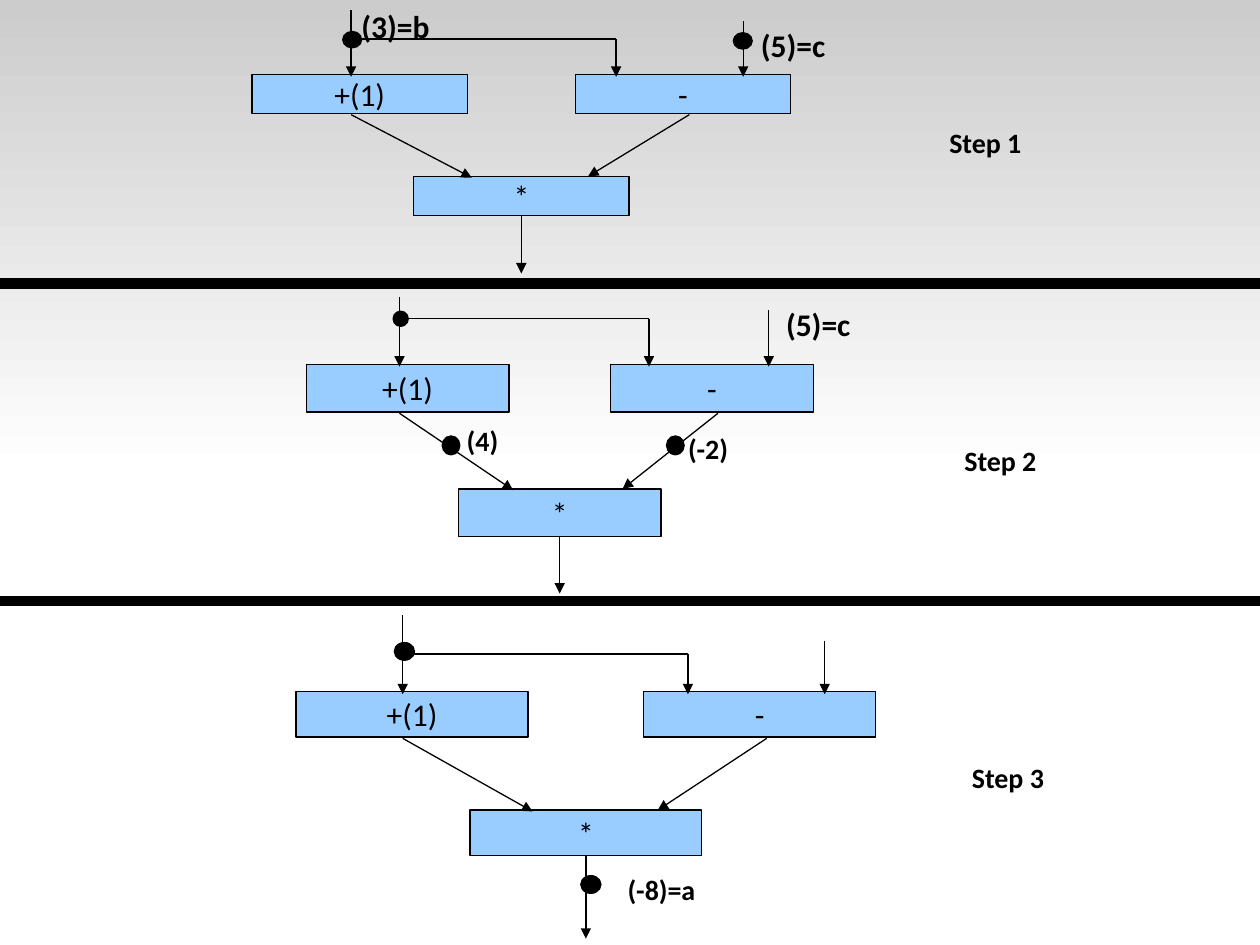
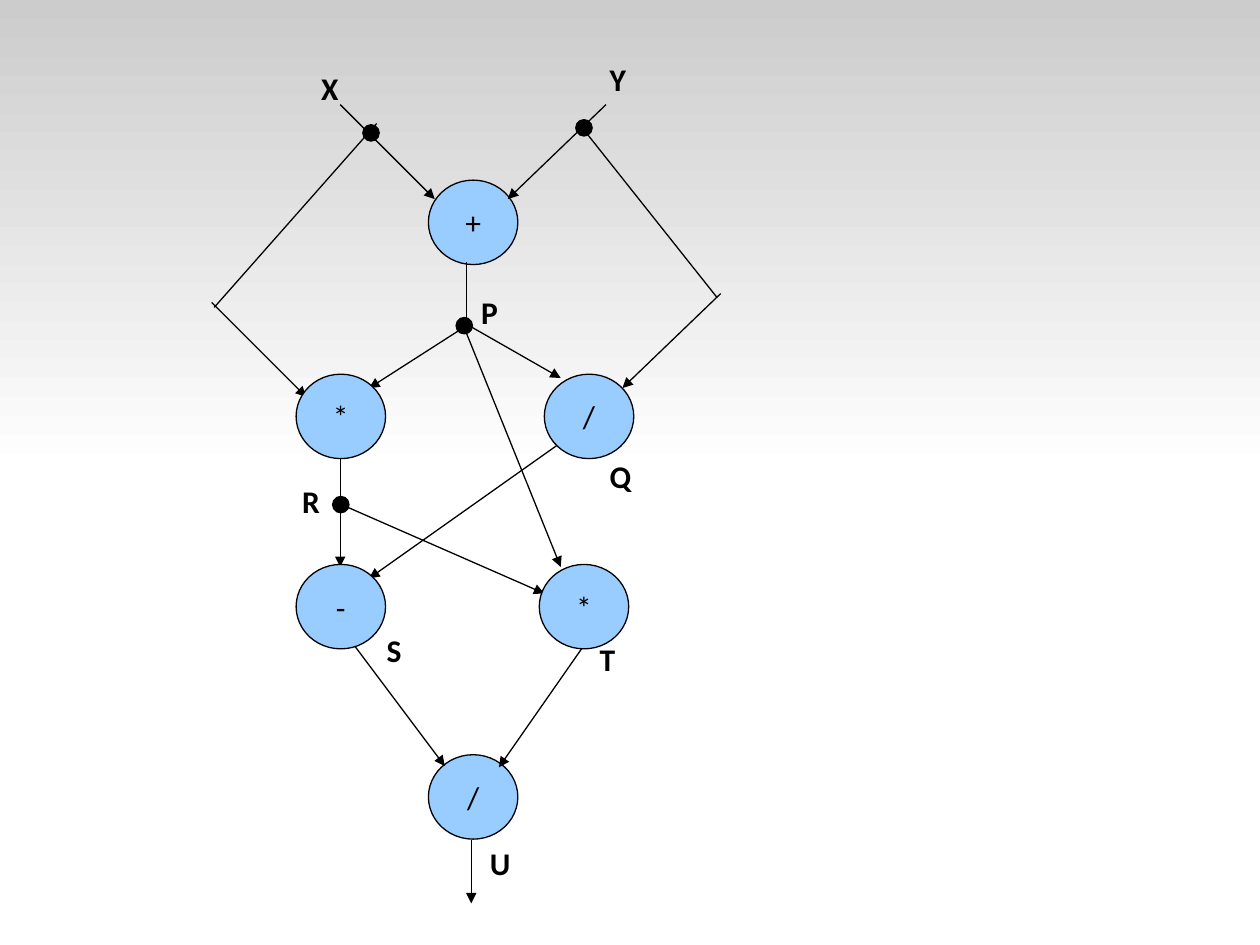
from dataclasses import dataclass

from lxml.etree import SubElement
from pptx import Presentation
from pptx.dml.color import RGBColor
from pptx.enum.shapes import MSO_CONNECTOR, MSO_SHAPE
from pptx.enum.text import MSO_ANCHOR, PP_ALIGN
from pptx.oxml.ns import qn
from pptx.util import Inches, Pt


@dataclass(frozen=True)
class Theme:
    font: str = "Calibri"
    ink: RGBColor = RGBColor(0, 0, 0)
    node: RGBColor = RGBColor(0x99, 0xCC, 0xFF)
    band_top: RGBColor = RGBColor(0xCC, 0xCC, 0xCC)
    band_bottom: RGBColor = RGBColor(0xFF, 0xFF, 0xFF)
    large: int = 18
    small: int = 16
    thin: float = 0.75
    thick: float = 5.75


class Deck:
    def __init__(self, theme):
        self.theme = theme
        self.presentation = Presentation()
        self.presentation.slide_width = Inches(10)
        self.presentation.slide_height = Inches(7.5)
        self.slide = None

    def new_slide(self):
        self.slide = self.presentation.slides.add_slide(self.presentation.slide_layouts[6])
        band = self.add_shape(MSO_SHAPE.RECTANGLE, 0, 0, 10, 3.75)
        band.line.fill.background()
        band.fill.gradient()
        band.fill.gradient_angle = 270
        colors = (self.theme.band_top, self.theme.band_bottom)
        for stop, color, position in zip(band.fill.gradient_stops, colors, (0, 1)):
            stop.color.rgb = color
            stop.position = position

    def add_shape(self, kind, left, top, width, height):
        shape = self.slide.shapes.add_shape(
            kind, Inches(left), Inches(top), Inches(width), Inches(height))
        shape.shadow.inherit = False
        return shape

    def paint(self, shape, color):
        shape.fill.solid()
        shape.fill.fore_color.rgb = color
        shape.line.color.rgb = self.theme.ink
        shape.line.width = Pt(self.theme.thin)

    def set_text(self, text_frame, text, size, bold, align):
        text_frame.text = text
        paragraph = text_frame.paragraphs[0]
        paragraph.alignment = align
        font = paragraph.runs[0].font
        font.name, font.size, font.bold = self.theme.font, Pt(size), bold
        font.color.rgb = self.theme.ink

    def node(self, kind, text, left, top, width, height):
        shape = self.add_shape(kind, left, top, width, height)
        self.paint(shape, self.theme.node)
        shape.text_frame.word_wrap = False
        shape.text_frame.vertical_anchor = MSO_ANCHOR.MIDDLE
        self.set_text(shape.text_frame, text, self.theme.large, False, PP_ALIGN.CENTER)
        return shape

    def token(self, left, top, width, height):
        self.paint(self.add_shape(MSO_SHAPE.OVAL, left, top, width, height), self.theme.ink)

    def label(self, text, left, top, width, height=0.4, size=None, align=PP_ALIGN.LEFT):
        box = self.slide.shapes.add_textbox(
            Inches(left), Inches(top), Inches(width), Inches(height))
        box.text_frame.word_wrap = True
        self.set_text(box.text_frame, text, size or self.theme.large, True, align)

    def line(self, x1, y1, x2, y2, arrow=False, weight=None):
        connector = self.slide.shapes.add_connector(
            MSO_CONNECTOR.STRAIGHT, Inches(x1), Inches(y1), Inches(x2), Inches(y2))
        connector.line.color.rgb = self.theme.ink
        connector.line.width = Pt(weight or self.theme.thin)
        properties = connector.element.spPr
        if arrow:
            SubElement(properties.get_or_add_ln(), qn("a:tailEnd"), type="triangle")
        SubElement(properties, qn("a:effectLst"))
        return connector

    def arrow(self, x1, y1, x2, y2):
        return self.line(x1, y1, x2, y2, arrow=True)


@dataclass(frozen=True)
class Step:
    left: float
    width: float
    height: float
    operand_top: float
    product_top: float
    first_input_top: float
    branch: float
    second_input_top: float
    output_end: float
    tokens: tuple


STEPS = (
    Step(2, 1.71, 0.31, 0.59, 1.4, 0.08, 0.31, 0.17, 2.17,
         ((2.72, 0.25, 0.15, 0.13), (5.82, 0.26, 0.15, 0.13))),
    Step(2.43, 1.61, 0.38, 2.89, 3.88, 2.36, 2.53, 2.46, 4.71,
         ((3.12, 2.47, 0.12, 0.12), (3.51, 3.46, 0.14, 0.15), (5.29, 3.46, 0.14, 0.15))),
    Step(2.35, 1.84, 0.36, 5.49, 6.43, 4.88, 5.19, 5.09, 7.45,
         ((3.13, 5.1, 0.16, 0.14), (4.61, 6.95, 0.16, 0.14))),
)


def draw_step(deck, step):
    """Place every column as a multiple of the operator box width."""
    def column(share):
        return step.left + share * step.width

    def operator(text, share, top):
        return deck.node(MSO_SHAPE.RECTANGLE, text, column(share), top, step.width, step.height)

    operator("+(1)", 0, step.operand_top)
    operator("-", 1.5, step.operand_top)
    product = operator("*", 0.75, step.product_top)

    first, branch, second = column(0.46), column(1.69), column(2.28)
    input_end = step.operand_top + 0.02
    operand_bottom = step.operand_top + step.height + 0.01
    deck.arrow(first, step.first_input_top, first, input_end)
    deck.line(first, step.branch, branch, step.branch)
    deck.arrow(branch, step.branch, branch, input_end)
    deck.arrow(second, step.second_input_top, second, input_end)
    deck.arrow(first, operand_bottom, column(1.02), step.product_top + 0.01)
    deck.arrow(column(2.03), operand_bottom, column(1.56), step.product_top)

    middle = column(1.25)
    output = deck.arrow(middle, step.product_top + step.height, middle, step.output_end)
    output.begin_connect(product, 2)
    for token in step.tokens:
        deck.token(*token)


def steps_slide(deck):
    deck.new_slide()
    for step in STEPS:
        draw_step(deck, step)
    for text, left, top, width, height in (
            ("(3)=b", 2.77, 0.01, 1.48, 0.57),
            ("(5)=c", 5.94, 0.16, 0.81, 0.7),
            ("(5)=c", 6.14, 2.37, 1.36, 0.77)):
        deck.label(text, left, top, width, height)
    for text, left, top, width in (
            ("(4)", 3.53, 3.31, 0.6), ("(-2)", 5.32, 3.38, 0.6), ("(-8)=a", 4.55, 6.88, 1.4),
            ("Step 1", 7.14, 0.95, 1.36), ("Step 2", 7.26, 3.47, 1.36),
            ("Step 3", 7.39, 5.99, 1.22)):
        deck.label(text, left, top, width, size=deck.theme.small, align=PP_ALIGN.CENTER)
    for divider in (2.25, 4.77):
        deck.line(0, divider, 10, divider, weight=deck.theme.thick)


def graph_slide(deck):
    deck.new_slide()

    def operators(*items):
        for text, left, top in items:
            deck.node(MSO_SHAPE.OVAL, text, left, top, 0.71, 0.67)

    operators(("+", 3.4, 1.43), ("/", 3.4, 5.99))
    for ends in (
            (1.7, 2.44, 2.99, 0.98),    # X to its left bend
            (4.61, 1, 5.69, 2.36),      # Y to its right bend
            (3.7, 2.08, 3.7, 2.58)):    # sum to P
        deck.line(*ends)
    for ends in (
            (2.7, 0.83, 3.45, 1.58), (4.81, 0.83, 4.03, 1.58),    # X and Y to the sum
            (1.68, 2.4, 2.43, 3.15), (5.72, 2.33, 4.94, 3.08),    # bends to R and Q
            (3.71, 2.58, 2.93, 3.08), (3.68, 2.56, 4.45, 3),      # P to R and Q
            (3.66, 2.54, 4.45, 4.5),                              # P to T
            (2.7, 3.5, 2.7, 4.5), (2.7, 4, 4.32, 4.71),           # R to S and T
            (4.47, 3.5, 2.93, 4.59),                              # Q to S
            (2.78, 5.08, 3.53, 6.08), (4.72, 5, 3.96, 6.09),      # S and T to U
            (3.74, 6.67, 3.74, 7.17)):                            # U out
        deck.arrow(*ends)
    operators(("*", 2.35, 2.97), ("/", 4.32, 2.97), ("-", 2.35, 4.48), ("*", 4.28, 4.48))
    for left, top in ((2.88, 0.99), (4.57, 0.95), (3.62, 2.52), (2.64, 3.94)):
        deck.token(left, top, 0.13, 0.13)
    for text, left, top in (
            ("X", 2.45, 0.5), ("Y", 4.74, 0.43), ("P", 3.72, 2.28), ("Q", 4.74, 3.58),
            ("R", 2.3, 3.78), ("T", 4.66, 5.03), ("S", 2.97, 4.96), ("U", 3.79, 6.65)):
        deck.label(text, left, top, 0.39)


def main():
    deck = Deck(Theme())
    steps_slide(deck)
    graph_slide(deck)
    deck.presentation.save("out.pptx")


if __name__ == "__main__":
    main()
